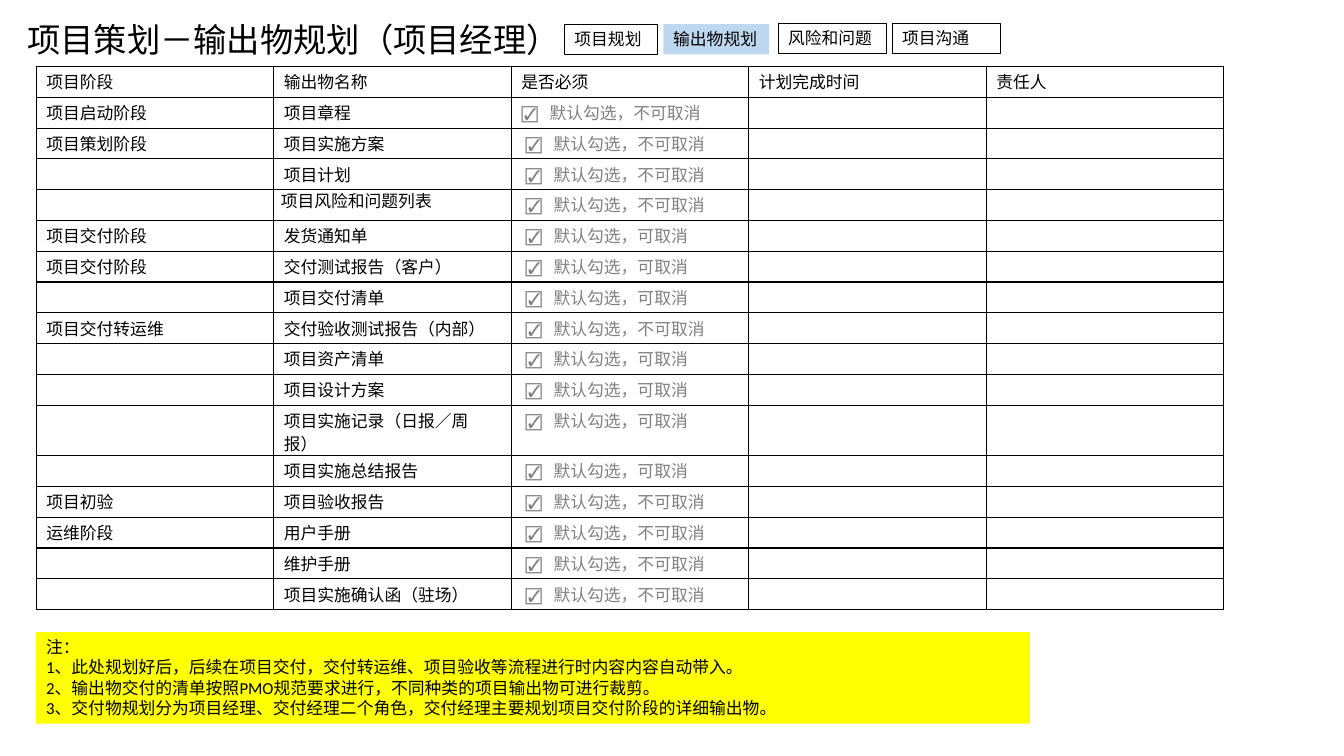
import pptx
import pptx.util
import pptx.dml.color
import pptx.enum.shapes
import pptx.enum.text
import pptx.oxml.ns
from dataclasses import dataclass
from lxml import etree


@dataclass(frozen=True)
class Theme:
    """Colours, fonts and type sizes of the slide."""
    black: str = "000000"
    grey: str = "808080"
    active: str = "BDD7EE"
    note: str = "FFFF00"
    body_font: str = "Calibri"
    tab_font: str = "Arial"
    title_size: float = 23.8
    body_size: float = 12
    table_leading: float = 16.5


THEME = Theme()
WIDTH, HEIGHT = pptx.util.Inches(13.333), pptx.util.Inches(7.5)

TITLE = "项目策划－输出物规划（项目经理）"
# label, left, top and width in percent of the slide, fill
TABS = [
    ("项目规划", 42, 3.2, 6.9, None),
    ("输出物规划", 49.35, 3.2, 7.88, THEME.active),
    ("风险和问题", 57.9, 3.07, 8.1, None),
    ("项目沟通", 66.38, 3.07, 8.1, None),
]
HEADERS = ["项目阶段", "输出物名称", "是否必须", "计划完成时间", "责任人"]
FIXED, OPTIONAL = "默认勾选，不可取消", "默认勾选，可取消"
DELIVERABLES = [
    ("项目启动阶段", "项目章程", FIXED),
    ("项目策划阶段", "项目实施方案", FIXED),
    ("", "项目计划", FIXED),
    ("", "项目风险和问题列表", FIXED),
    ("项目交付阶段", "发货通知单", OPTIONAL),
    ("项目交付阶段", "交付测试报告（客户）", OPTIONAL),
    ("", "项目交付清单", OPTIONAL),
    ("项目交付转运维", "交付验收测试报告（内部）", FIXED),
    ("", "项目资产清单", OPTIONAL),
    ("", "项目设计方案", OPTIONAL),
    ("", "项目实施记录（日报／周报）", OPTIONAL),
    ("", "项目实施总结报告", OPTIONAL),
    ("项目初验", "项目验收报告", FIXED),
    ("运维阶段", "用户手册", FIXED),
    ("", "维护手册", FIXED),
    ("", "项目实施确认函（驻场）", FIXED),
]
RISK_ROW, TALL_ROW = 4, 11
NOTES = [
    "注：\v1、此处规划好后，后续在项目交付，交付转运维、项目验收等流程进行时内容内容自动带入。",
    "2、输出物交付的清单按照PMO规范要求进行，不同种类的项目输出物可进行裁剪。",
    "3、交付物规划分为项目经理、交付经理二个角色，交付经理主要规划项目交付阶段的详细输出物。",
]


def place(left, top, width, height):
    """Turn percentages of the slide into lengths."""
    return (int(WIDTH * left / 100), int(HEIGHT * top / 100),
            int(WIDTH * width / 100), int(HEIGHT * height / 100))


def rgb(colour):
    """Return a colour object for a hex string."""
    return pptx.dml.color.RGBColor.from_string(colour)


def write(frame, *lines, size=THEME.body_size, font=THEME.body_font,
          colour=THEME.black, align=pptx.enum.text.PP_ALIGN.LEFT,
          leading=None, hanging=None):
    """Write paragraphs into a text frame; hanging is (margin, indent) in inches."""
    frame.word_wrap = True
    for index, line in enumerate(lines):
        para = frame.add_paragraph() if index else frame.paragraphs[0]
        para.text = line
        para.alignment = align
        if leading:
            para.line_spacing = pptx.util.Pt(leading)
        if hanging:
            margin, indent = map(pptx.util.Inches, hanging)
            properties = para._p.get_or_add_pPr()
            properties.set("marL", str(margin))
            properties.set("indent", str(indent))
        for span in para.runs:
            span.font.size = pptx.util.Pt(size)
            span.font.name = font
            span.font.color.rgb = rgb(colour)
        if not line:
            end = etree.SubElement(para._p, pptx.oxml.ns.qn("a:endParaRPr"))
            end.set("sz", str(int(size * 100)))


def add_title(page):
    """Format the title placeholder."""
    box = page.shapes.title
    box.left, box.top, box.width, box.height = place(1.28, 0, 41.25, 10.4)
    write(box.text_frame, TITLE, size=THEME.title_size)
    box.text_frame.auto_size = pptx.enum.text.MSO_AUTO_SIZE.NONE
    box.text_frame.vertical_anchor = pptx.enum.text.MSO_ANCHOR.MIDDLE


def add_box(page, area, *lines, fill=None, **text_format):
    """Add a rectangle that is either filled or outlined."""
    box = page.shapes.add_shape(
        pptx.enum.shapes.MSO_SHAPE.RECTANGLE, *place(*area))
    box.shadow.inherit = False
    if fill:
        box.fill.solid()
        box.fill.fore_color.rgb = rgb(fill)
        box.line.fill.background()
    else:
        box.fill.background()
        box.line.color.rgb = rgb(THEME.black)
        box.line.width = pptx.util.Pt(0.75)
    box.text_frame.vertical_anchor = pptx.enum.text.MSO_ANCHOR.TOP
    write(box.text_frame, *lines, **text_format)


def format_cell(cell):
    """Clear a cell's fill, draw its borders and set its margins."""
    properties = cell._tc.get_or_add_tcPr()
    for side in ("lnL", "lnR", "lnT", "lnB"):
        border = etree.SubElement(properties, pptx.oxml.ns.qn("a:" + side))
        border.set("w", str(pptx.util.Pt(1)))
        solid = etree.SubElement(border, pptx.oxml.ns.qn("a:solidFill"))
        colour = etree.SubElement(solid, pptx.oxml.ns.qn("a:srgbClr"))
        colour.set("val", THEME.black)
    cell.fill.background()
    cell.margin_top = pptx.util.Inches(0.04)
    cell.margin_bottom = 0


def add_deliverables(page):
    """Add the table of deliverables by project phase."""
    rows = [HEADERS] + [(*entry, "", "") for entry in DELIVERABLES]
    area = place(2.7, 8.8, 88.35, 71.87)
    table = page.shapes.add_table(len(rows), len(HEADERS), *area).table
    table.first_row = table.horz_banding = False
    tall = pptx.util.Inches(0.5)
    regular = (area[3] - tall) // (len(rows) - 1)
    for row, texts in enumerate(rows):
        table.rows[row].height = tall if row == TALL_ROW else regular
        for column, text in enumerate(texts):
            cell = table.cell(row, column)
            format_cell(cell)
            style = {"leading": THEME.table_leading}
            if column == 2 and row:
                text = "☑️\t" + text
                margin = 0.28 if row == 1 else 0.32
                style.update(colour=THEME.grey, hanging=(margin, -0.28))
            if (row, column) == (RISK_ROW, 1):
                cell.margin_top = 0
                cell.margin_left = cell.margin_right = pptx.util.Inches(0.07)
                style["align"] = pptx.enum.text.PP_ALIGN.JUSTIFY
            write(cell.text_frame, text, **style)


def main():
    """Build the slide and save it."""
    deck = pptx.Presentation()
    deck.slide_width, deck.slide_height = WIDTH, HEIGHT
    page = deck.slides.add_slide(deck.slide_layouts[5])
    add_title(page)
    for label, left, top, width, fill in TABS:
        add_box(page, (left, top, width, 4), label, fill=fill,
                font=THEME.tab_font)
    add_deliverables(page)
    add_box(page, (2.7, 83.6, 73.95, 12.13), *NOTES, fill=THEME.note)
    deck.save("out.pptx")


main()
